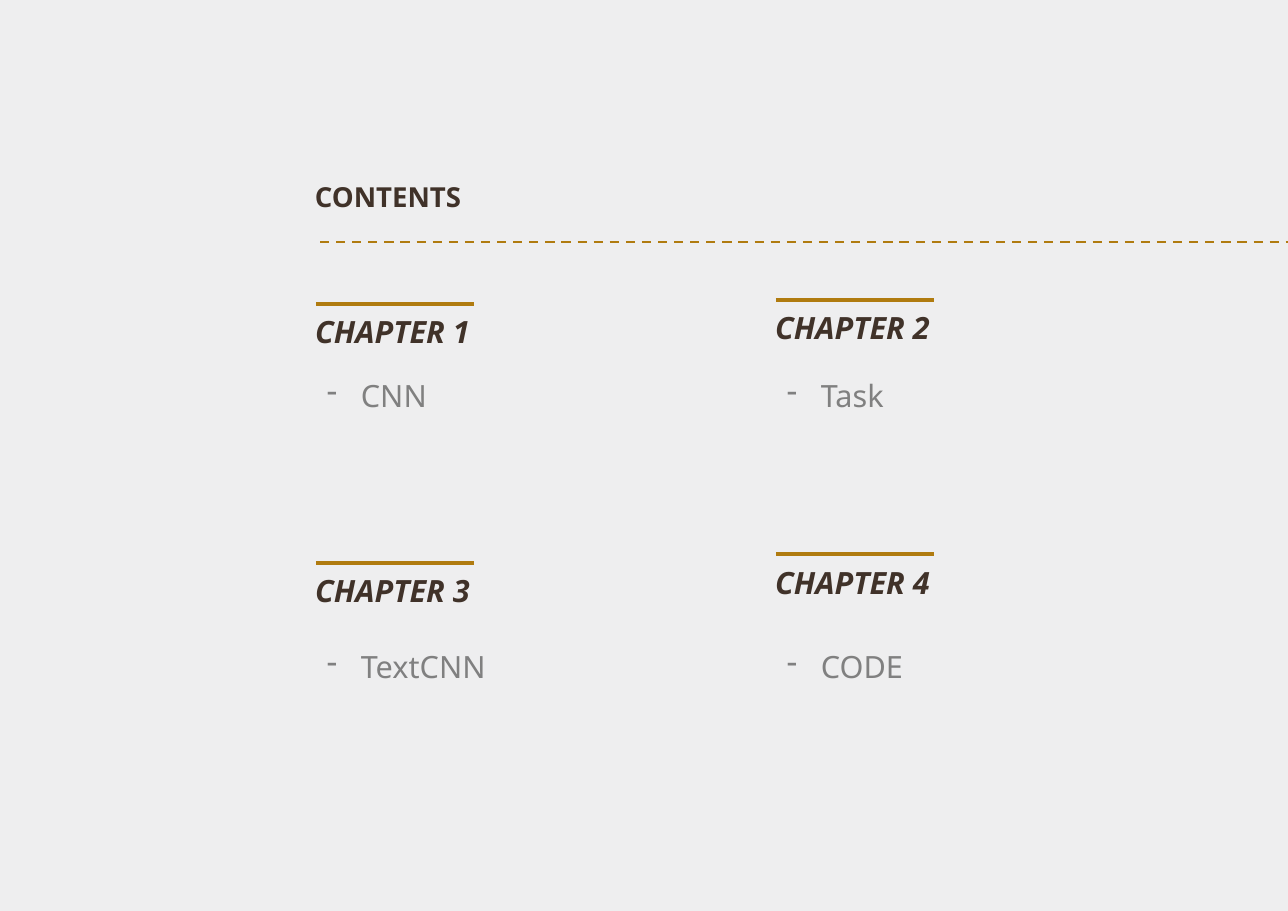
"""Builds a contents slide with four chapters in a two-by-two grid."""
from lxml import etree
from pptx import Presentation
from pptx import util as u
from pptx.dml.color import RGBColor
from pptx.enum import dml, shapes, text
from pptx.oxml.ns import qn

PX = 8298
BROWN, GOLD, GREY = "403229", "B07B0F", "808080"

deck = Presentation()
deck.slide_width, deck.slide_height = 1288 * PX, 911 * PX
slide = deck.slides.add_slide(deck.slide_layouts[6])
slide.background.fill.solid()
slide.background.fill.fore_color.rgb = RGBColor.from_string("EEEEEF")


def add_label(words, left, top, width, height, size, color, bold=False, italic=False, bullet=None):
    box = slide.shapes.add_textbox(left * PX, top * PX, width * PX, height * PX)
    box.text_frame.word_wrap = True
    box.text_frame.text = words
    paragraph = box.text_frame.paragraphs[0]
    if bullet:
        paragraph.line_spacing = 1.5
        props = paragraph._p.get_or_add_pPr()
        props.set("marL", str(34 * PX))
        props.set("indent", str(-34 * PX))
        etree.SubElement(props, qn("a:buChar")).set("char", bullet)
    else:
        paragraph.alignment = text.PP_ALIGN.CENTER
    font = paragraph.runs[0].font
    font.name, font.size = "Noto Sans", u.Pt(size)
    font.bold, font.italic = bold, italic
    font.color.rgb = RGBColor.from_string(color)


def add_rule(left, right, y, weight):
    rule = slide.shapes.add_connector(
        shapes.MSO_CONNECTOR.STRAIGHT, left * PX, y * PX, right * PX, y * PX)
    rule.line.color.rgb = RGBColor.from_string(GOLD)
    rule.line.width = u.Pt(weight)
    etree.SubElement(rule._element.spPr, qn("a:effectLst"))
    return rule


add_label("CONTENTS", 292, 175, 192, 44, 18, BROWN, bold=True)
divider = add_rule(320, 1288, 242, 1.5)
divider.line.dash_style = dml.MSO_LINE.DASH

chapters = [
    ("CHAPTER 1", "CNN", 304),
    ("CHAPTER 2", "Task", 300),
    ("CHAPTER 3", "TextCNN", 563),
    ("CHAPTER 4", "CODE", 554),
]
for index, (chapter, topic, rule_y) in enumerate(chapters):
    row, column = divmod(index, 2)
    left = 316 + 460 * column
    add_rule(left, left + 158, rule_y, 2.25)
    add_label(chapter, left - 25, rule_y + 4, 203, 48, 20, BROWN, bold=True, italic=True)
    add_label(topic, left, 353 + 271 * row, 219, 61, 20, GREY, bullet="-")

deck.save("out.pptx")
